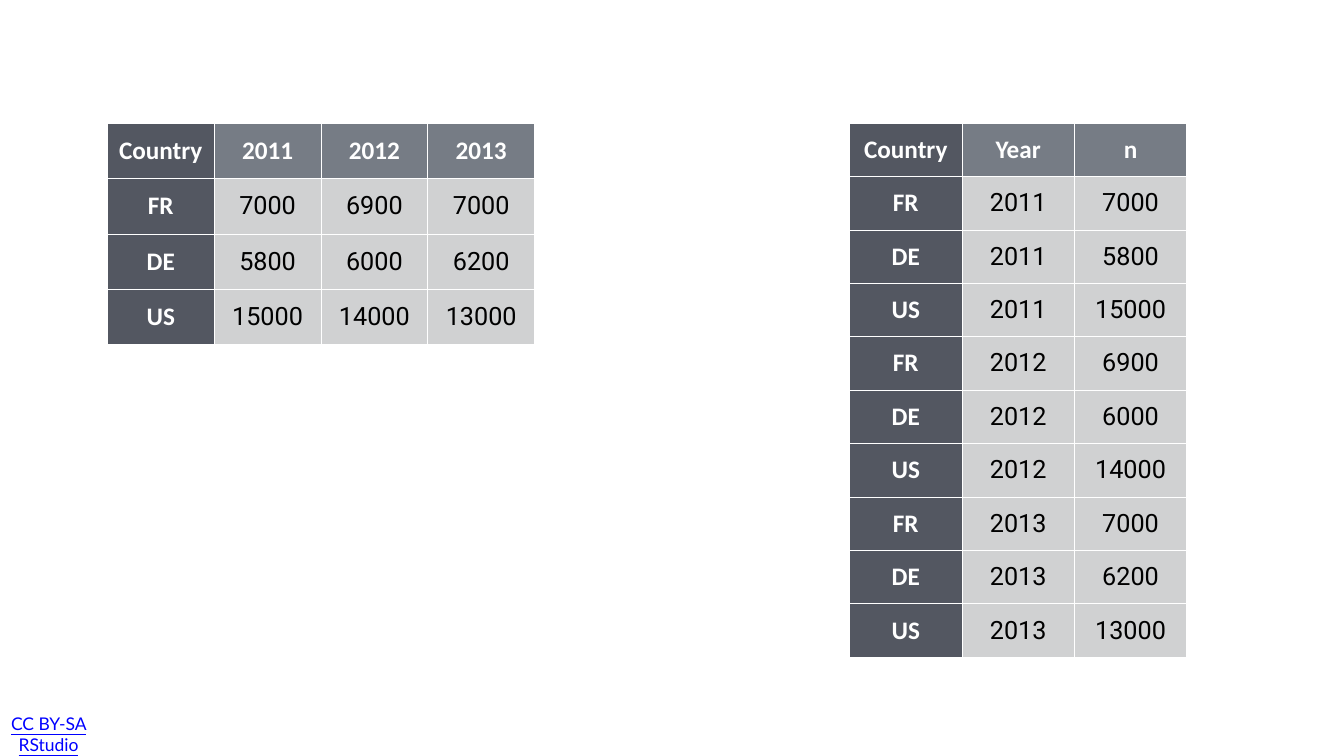
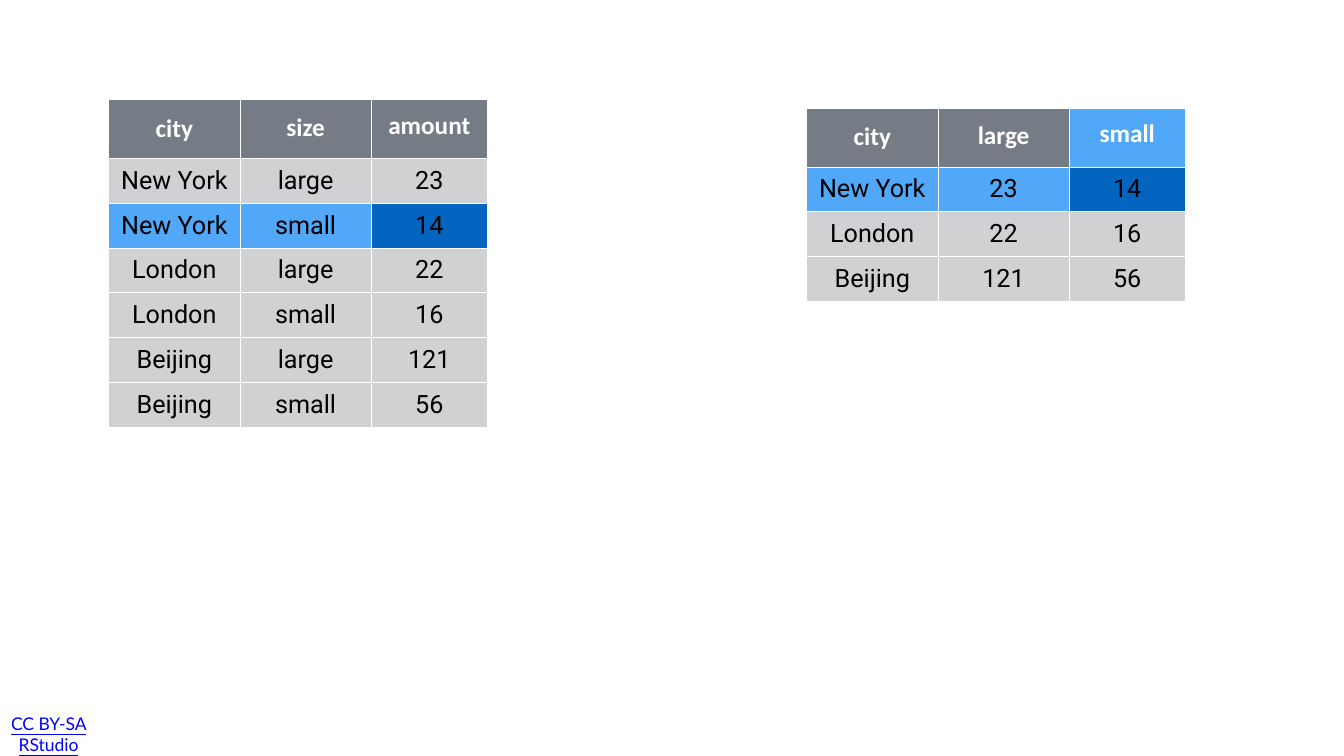
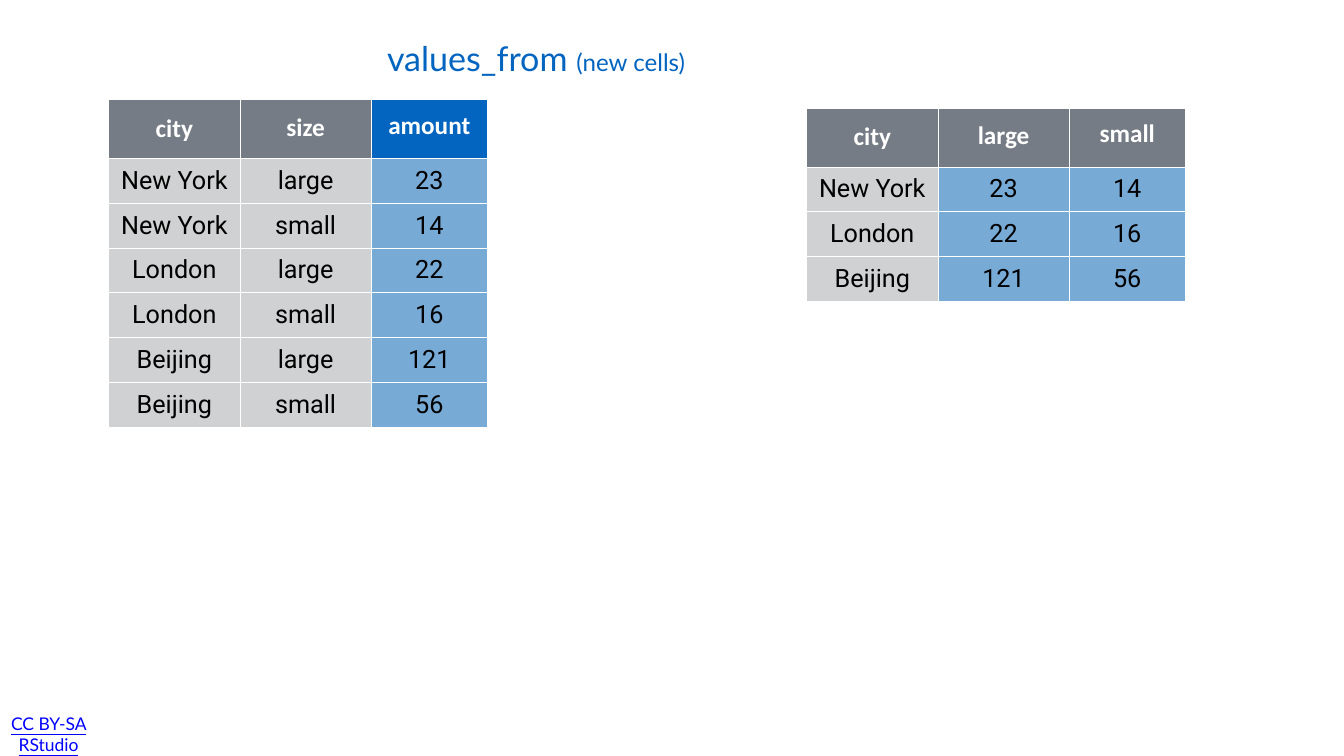
"""Build three slides that compare wide and long data tables."""
from lxml import etree
from pptx import Presentation
from pptx.dml.color import RGBColor
from pptx.enum.text import MSO_ANCHOR, PP_ALIGN
from pptx.oxml.ns import qn
from pptx.util import Inches, Pt

CENTER, LEFT = PP_ALIGN.CENTER, PP_ALIGN.LEFT
MIDDLE = MSO_ANCHOR.MIDDLE

COLORS = {
    "white": "FFFFFF", "black": "000000", "link": "0000FF",
    "header": "767C85", "key": "535761", "body": "D0D1D2",
    "light": "51A8F9", "strong": "0365C0", "soft": "78AAD6",
}
FILL_CODES = {"H": "header", "K": "key", "B": "body",
              "L": "light", "S": "strong", "V": "soft"}

FOOTER = "CC BY-SA RStudio"
TITLE = [("values_from ", 48.7), ("(new cells)", 34.4)]

CASES_WIDE = [
    ("Country", "2011", "2012", "2013"),
    ("FR", "7000", "6900", "7000"),
    ("DE", "5800", "6000", "6200"),
    ("US", "15000", "14000", "13000"),
]
CASES_LONG = [("Country", "Year", "n")] + [
    (row[0], year, row[column])
    for column, year in enumerate(CASES_WIDE[0][1:], start=1)
    for row in CASES_WIDE[1:]
]
POLLUTION_LONG = [
    ("city", "size", "amount"),
    ("New York", "large", "23"),
    ("New York", "small", "14"),
    ("London", "large", "22"),
    ("London", "small", "16"),
    ("Beijing", "large", "121"),
    ("Beijing", "small", "56"),
]
POLLUTION_WIDE = [
    ("city", "large", "small"),
    ("New York", "23", "14"),
    ("London", "22", "16"),
    ("Beijing", "121", "56"),
]

CITY_WIDTHS = (2.62, 2.59, 2.32)
CITY_SPACING = (None, 0.8, 0.6)
LONG_CITY = {"rows": POLLUTION_LONG, "left": 2.15, "top": 1.98, "widths": CITY_WIDTHS,
             "header_height": 1.16, "row_height": 0.89, "header_spacing": CITY_SPACING}
WIDE_CITY = {"rows": POLLUTION_WIDE, "left": 16, "top": 2.14, "widths": CITY_WIDTHS,
             "header_height": 1.17, "row_height": 0.89, "header_spacing": CITY_SPACING}

SLIDES = [
    {"tables": [
        {"rows": CASES_WIDE, "fills": ["KHHH"] + ["KBBB"] * 3, "left": 2.13, "top": 2.44,
         "widths": (2.12,) * 4, "header_height": 1.1, "row_height": 1.1},
        {"rows": CASES_LONG, "fills": ["KHH"] + ["KBB"] * 9, "left": 16.86, "top": 2.44,
         "widths": (2.23,) * 3, "header_height": 1.06, "row_height": 1.06},
    ]},
    {"tables": [
        {**LONG_CITY, "fills": ["HHH", "BBB", "LLS"] + ["BBB"] * 4},
        {**WIDE_CITY, "fills": ["HHL", "LLS", "BBB", "BBB"]},
    ]},
    {"tables": [
        {**LONG_CITY, "fills": ["HHS"] + ["BBV"] * 6},
        {**WIDE_CITY, "fills": ["HHH"] + ["BVV"] * 3},
    ], "title": TITLE},
]


def write_text(text_frame, runs, font="Lato", color="black", bold=False,
               underline=False, align=CENTER, line_spacing=None):
    paragraph = text_frame.paragraphs[0]
    paragraph.alignment = align
    if line_spacing:
        paragraph.line_spacing = line_spacing
    for text, size in runs:
        run = paragraph.add_run()
        run.text = text
        run.font.name = font
        run.font.size = Pt(size)
        run.font.bold = bold
        run.font.underline = underline
        run.font.color.rgb = RGBColor.from_string(COLORS[color])


def add_text_box(slide, runs, left, top, width, height, right_margin=0.08, **text_format):
    box = slide.shapes.add_textbox(Inches(left), Inches(top), Inches(width), Inches(height))
    frame = box.text_frame
    frame.word_wrap = True
    frame.vertical_anchor = MIDDLE
    frame.margin_left = frame.margin_top = frame.margin_bottom = Inches(0.08)
    frame.margin_right = Inches(right_margin)
    write_text(frame, runs, **text_format)


def set_borders(cell):
    properties = cell._tc.get_or_add_tcPr()
    for position, side in enumerate(("lnL", "lnR", "lnT", "lnB")):
        line = etree.Element(qn(f"a:{side}"), w=str(Pt(1)))
        fill = etree.SubElement(line, qn("a:solidFill"))
        etree.SubElement(fill, qn("a:srgbClr"), val=COLORS["white"])
        properties.insert(position, line)


def add_data_table(slide, rows, fills, left, top, widths, header_height, row_height,
                   header_spacing=None):
    height = header_height + row_height * (len(rows) - 1)
    table = slide.shapes.add_table(len(rows), len(widths), Inches(left), Inches(top),
                                   Inches(sum(widths)), Inches(height)).table
    table.first_row = table.horz_banding = False
    for column, width in zip(table.columns, widths):
        column.width = Inches(width)
    for row_index, (values, codes) in enumerate(zip(rows, fills)):
        is_header = row_index == 0
        table.rows[row_index].height = Inches(header_height if is_header else row_height)
        for column_index, (value, code) in enumerate(zip(values, codes)):
            cell = table.cell(row_index, column_index)
            cell.vertical_anchor = MIDDLE
            cell.margin_left = cell.margin_right = Inches(0.06)
            cell.margin_top = cell.margin_bottom = Inches(0.06)
            cell.fill.solid()
            cell.fill.fore_color.rgb = RGBColor.from_string(COLORS[FILL_CODES[code]])
            set_borders(cell)
            is_label = is_header or code == "K"
            spacing = header_spacing[column_index] if is_header and header_spacing else None
            write_text(cell.text_frame, [(value, 36)],
                       font="Calibri" if is_label else "Roboto",
                       color="white" if is_label else "black",
                       bold=is_label, line_spacing=spacing)


def main():
    presentation = Presentation()
    presentation.slide_width = Inches(26.67)
    presentation.slide_height = Inches(15)
    for content in SLIDES:
        slide = presentation.slides.add_slide(presentation.slide_layouts[6])
        add_text_box(slide, [(FOOTER, 25)], 0.12, 14.26, 2.66, 0.6, right_margin=1.05,
                     color="link", underline=True)
        for table in content["tables"]:
            add_data_table(slide, **table)
        if "title" in content:
            add_text_box(slide, content["title"], 7.6, 0.65, 7.08, 1,
                         color="strong", align=LEFT)
    presentation.save("out.pptx")


if __name__ == "__main__":
    main()
